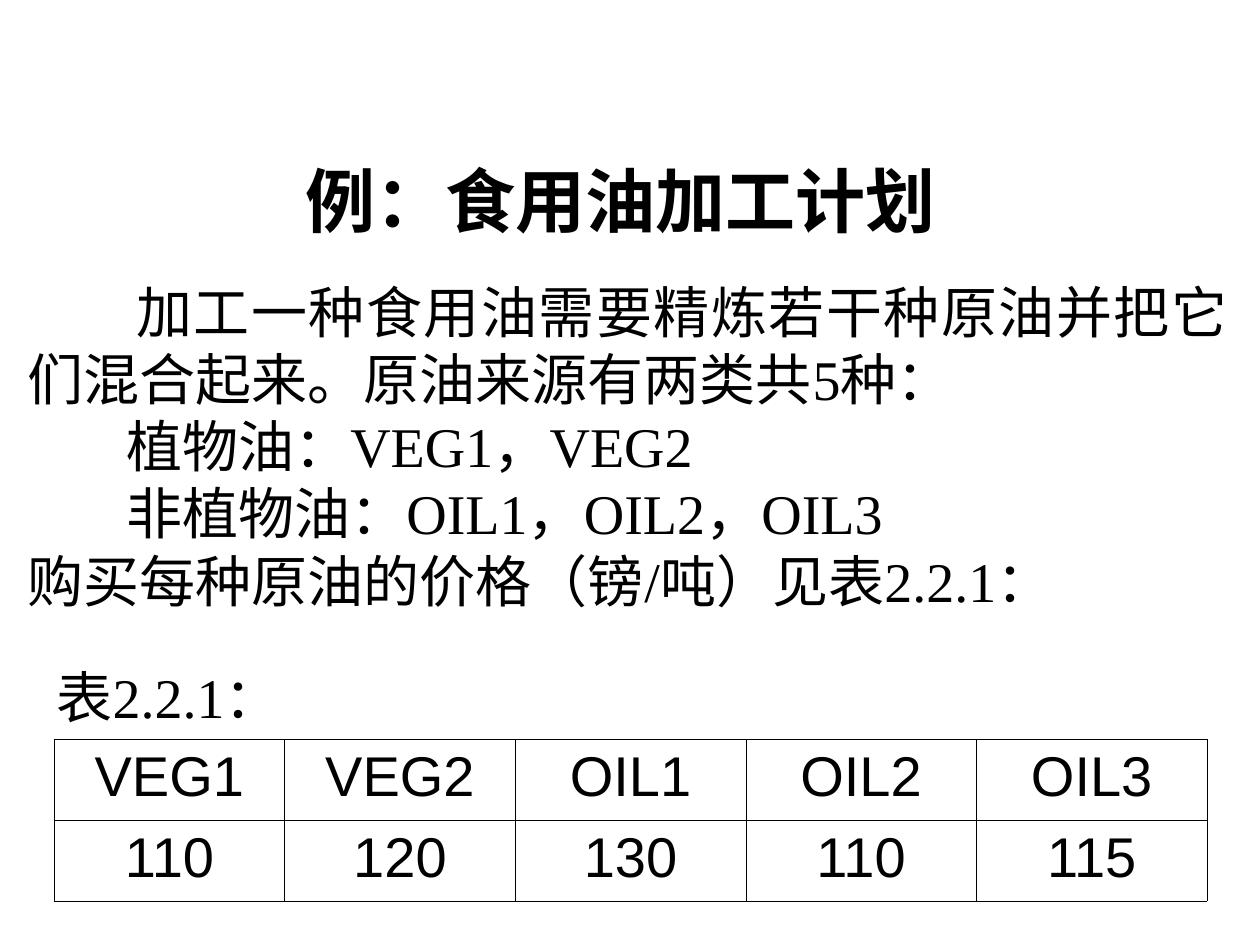
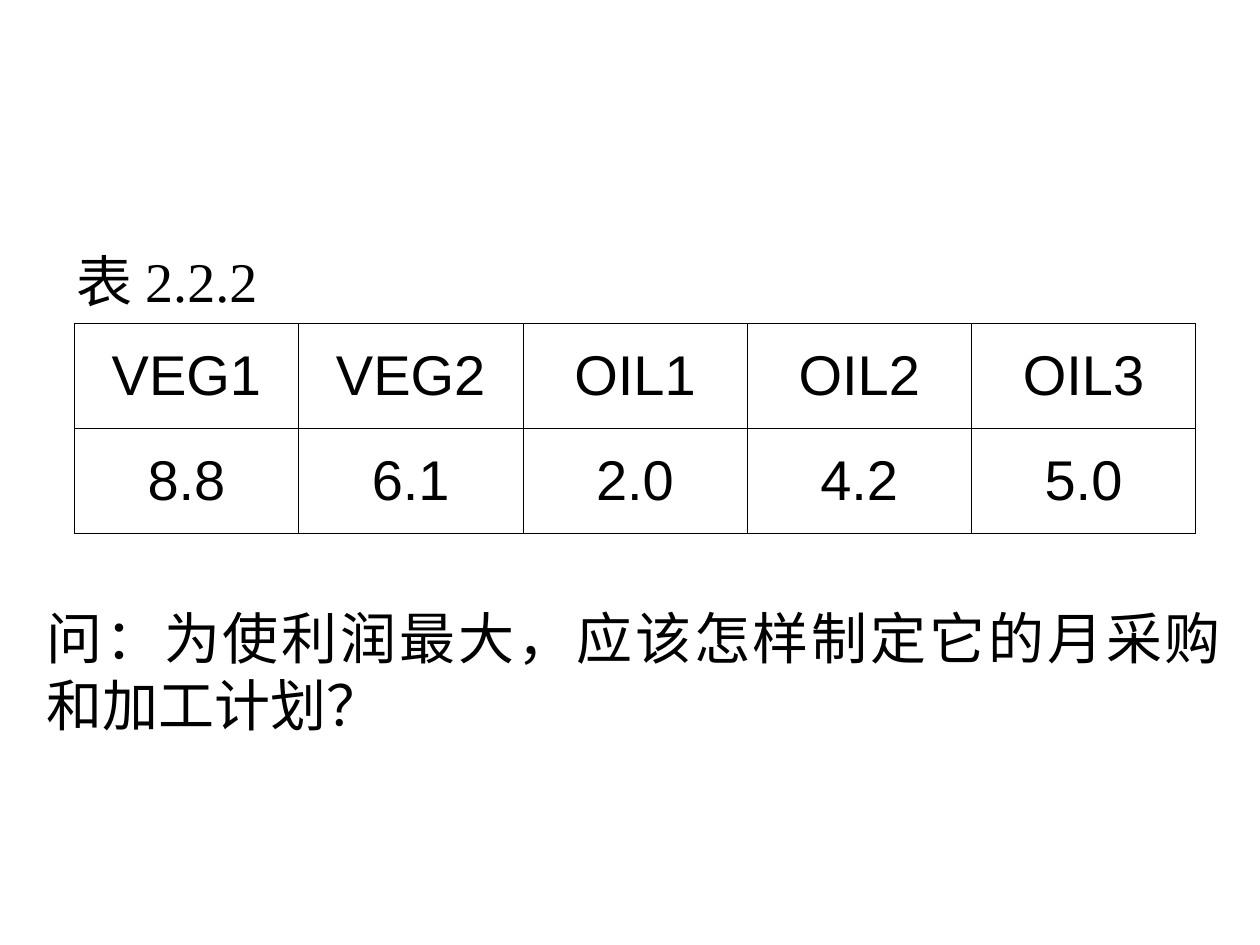
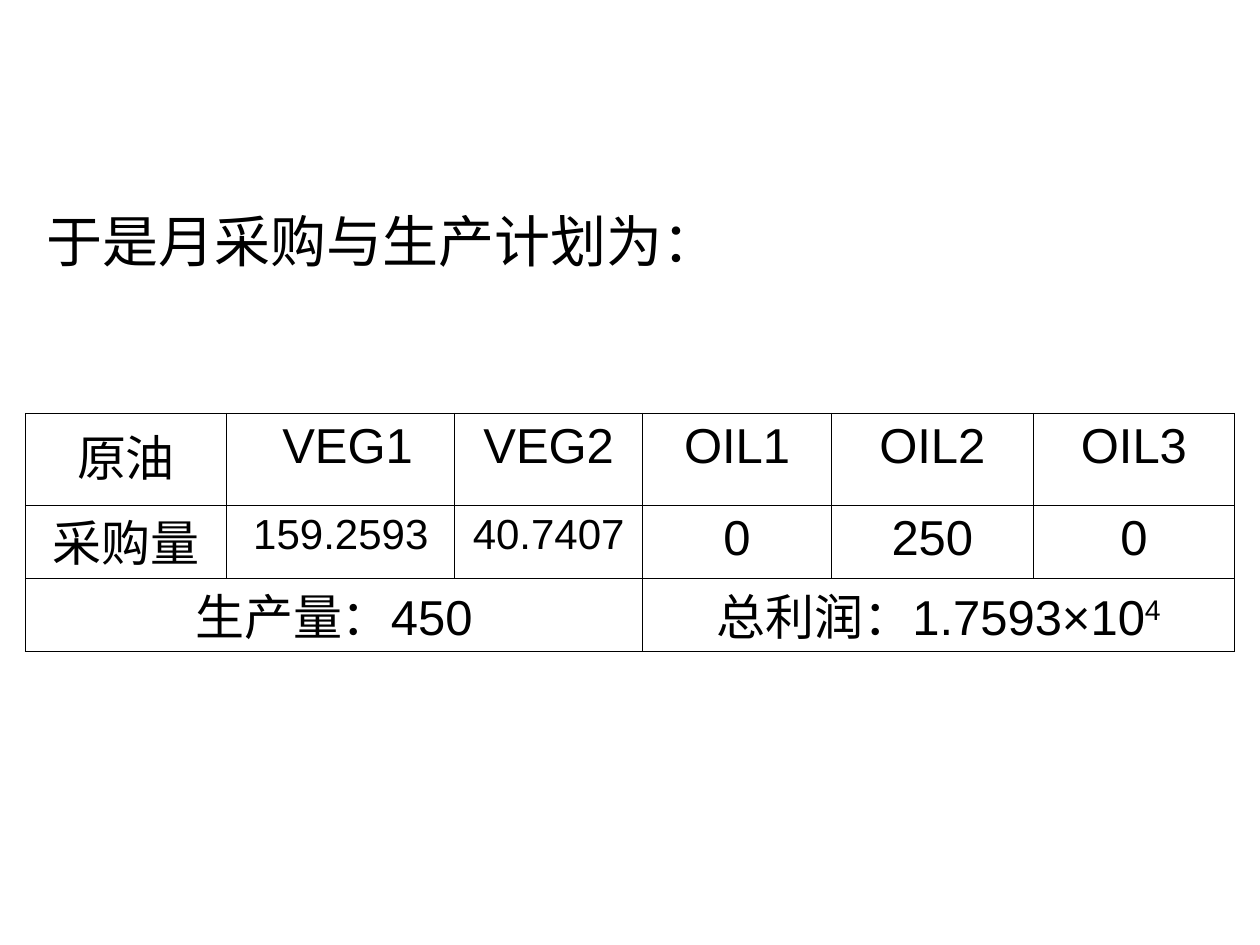
from lxml import etree
from pptx import Presentation
from pptx import util as u
from pptx.dml.color import RGBColor
from pptx.enum import text
from pptx.oxml import ns

INK = RGBColor(0x00, 0x00, 0x00)
SERIF, SANS, HAN = "Times New Roman", "Arial", "Noto Sans CJK SC"
WIDTH, HEIGHT = u.Inches(10), u.Inches(7.5)
BODY_SIZE = 32
LINE_RATIO = 1.2
OILS = ["VEG1", "VEG2", "OIL1", "OIL2", "OIL3"]
ALIGN, ANCHOR = text.PP_ALIGN, text.MSO_ANCHOR


def grid(count):
    """Length of a number of grid units; the slide is 10 columns by 7.5 rows."""
    return int(WIDTH / 10 * count)


def add_tag(parent, tag, **attributes):
    return etree.SubElement(parent, ns.qn(tag), attributes)


def style_paragraph(para, size, latin, align, bold=False):
    para.alignment = align
    font = para.font
    font.size, font.bold, font.name = u.Pt(size), bold, latin
    font.color.rgb = INK
    add_tag(font._element, "a:ea", typeface=HAN)


def write_lines(box, place, lines, size=BODY_SIZE, latin=SERIF,
                align=ALIGN.JUSTIFY, bold=False, wrap=True, right=0.1):
    """Place a box and fill it with (wording, first-line indent) pairs."""
    box.left, box.top, box.width, box.height = map(grid, place)
    frame = box.text_frame
    frame.word_wrap = wrap
    frame.auto_size = text.MSO_AUTO_SIZE.NONE
    frame.vertical_anchor = ANCHOR.TOP
    frame.margin_left, frame.margin_right = grid(0.1), grid(right)
    frame.margin_top, frame.margin_bottom = grid(0.1), 0
    for index, (wording, indent) in enumerate(lines):
        para = frame.add_paragraph() if index else frame.paragraphs[0]
        para.text = wording
        para.line_spacing = u.Pt(size * LINE_RATIO)
        para.space_before = u.Pt(0)
        properties = para._p.get_or_add_pPr()
        properties.set("marL", "0")
        properties.set("indent", str(grid(indent)))
        add_tag(properties, "a:buNone")
        style_paragraph(para, size, latin, align, bold)


def add_label(page, place, wording, **style):
    box = page.shapes.add_textbox(0, 0, 0, 0)
    write_lines(box, place, [(wording, 0)], **style)


def draw_borders(cell):
    properties = cell._tc.get_or_add_tcPr()
    for side in ("a:lnL", "a:lnR", "a:lnT", "a:lnB"):
        line = add_tag(properties, side, w=str(u.Pt(0.45)))
        add_tag(add_tag(line, "a:solidFill"), "a:srgbClr", val=str(INK))


def add_grid_table(page, left, top, columns, rows, values,
                   size=BODY_SIZE, anchor=ANCHOR.TOP):
    frame = page.shapes.add_table(
        len(rows), len(columns), grid(left), grid(top),
        grid(sum(columns)), grid(sum(rows)))
    table = frame.table
    table.first_row = table.horz_banding = False
    for column, width in zip(table.columns, columns):
        column.width = grid(width)
    for row, height, wordings in zip(table.rows, rows, values):
        row.height = grid(height)
        for cell, wording in zip(row.cells, wordings):
            cell.text = wording
            cell.vertical_anchor = anchor
            draw_borders(cell)
            cell.fill.background()
            style_paragraph(cell.text_frame.paragraphs[0], size, SANS, ALIGN.CENTER)
    return table


def build_price_slide(deck):
    page = deck.slides.add_slide(deck.slide_layouts[1])
    title, body = page.placeholders
    write_lines(title, (0.9, 1.15, 8.35, 0.77), [("例：食用油加工计划", 0)],
                size=40, latin=HAN, align=ALIGN.CENTER, bold=True, right=0.4)
    write_lines(body, (0.12, 2.1, 9.73, 2.77), [
        ("加工一种食用油需要精炼若干种原油并把它们混合起来。原油来源有两类共5种：", 0.86),
        ("植物油：VEG1，VEG2", 0.78),
        ("非植物油：OIL1，OIL2，OIL3", 0.78),
        ("购买每种原油的价格（镑/吨）见表2.2.1：", 0),
    ])
    add_grid_table(page, 0.43, 5.87, [1.83] * 5, [0.64] * 2,
                   [OILS, ["110", "120", "130", "110", "115"]])
    add_label(page, (0.35, 5.16, 4.88, 0.64), "表2.2.1：")


def build_question_slide(deck):
    page = deck.slides.add_slide(deck.slide_layouts[6])
    add_grid_table(page, 0.59, 2.57, [1.78] * 5, [0.83] * 2,
                   [OILS, ["8.8", "6.1", "2.0", "4.2", "5.0"]], anchor=ANCHOR.MIDDLE)
    add_label(page, (0.51, 1.86, 2.28, 0.64), "表 2.2.2")
    add_label(page, (0.27, 4.69, 9.53, 1.17),
              "问：为使利润最大，应该怎样制定它的月采购和加工计划？", latin=HAN)


def build_plan_slide(deck):
    page = deck.slides.add_slide(deck.slide_layouts[6])
    add_label(page, (0.27, 1.54, 5.54, 0.64), "于是月采购与生产计划为：",
              align=ALIGN.LEFT, wrap=False)
    table = add_grid_table(
        page, 0.2, 3.28, [1.6, 1.81, 1.49, 1.5, 1.6, 1.6], [0.73, 0.58, 0.58], [
            ["原油", " VEG1"] + OILS[1:],
            ["采购量", "159.2593", "40.7407", "0", "250", "0"],
            ["生产量：450", "", "", "总利润：1.7593×10", "", ""],
        ], size=28)

    # Longer amounts are set smaller
    for column in (1, 2):
        table.cell(1, column).text_frame.paragraphs[0].font.size = u.Pt(24)

    # Totals span half of the table each
    for column in (0, 3):
        table.cell(2, column).merge(table.cell(2, column + 2))
    exponent = table.cell(2, 3).text_frame.paragraphs[0].add_run()
    exponent.text = "4"
    exponent._r.get_or_add_rPr().set("baseline", "30000")

    # Chinese wording fills the height of the low rows
    for cell in [table.cell(1, 0), *table.rows[2].cells]:
        cell.margin_top = cell.margin_bottom = 0


def main():
    deck = Presentation()
    deck.slide_width, deck.slide_height = WIDTH, HEIGHT
    build_price_slide(deck)
    build_question_slide(deck)
    build_plan_slide(deck)
    deck.save("out.pptx")


if __name__ == "__main__":
    main()
